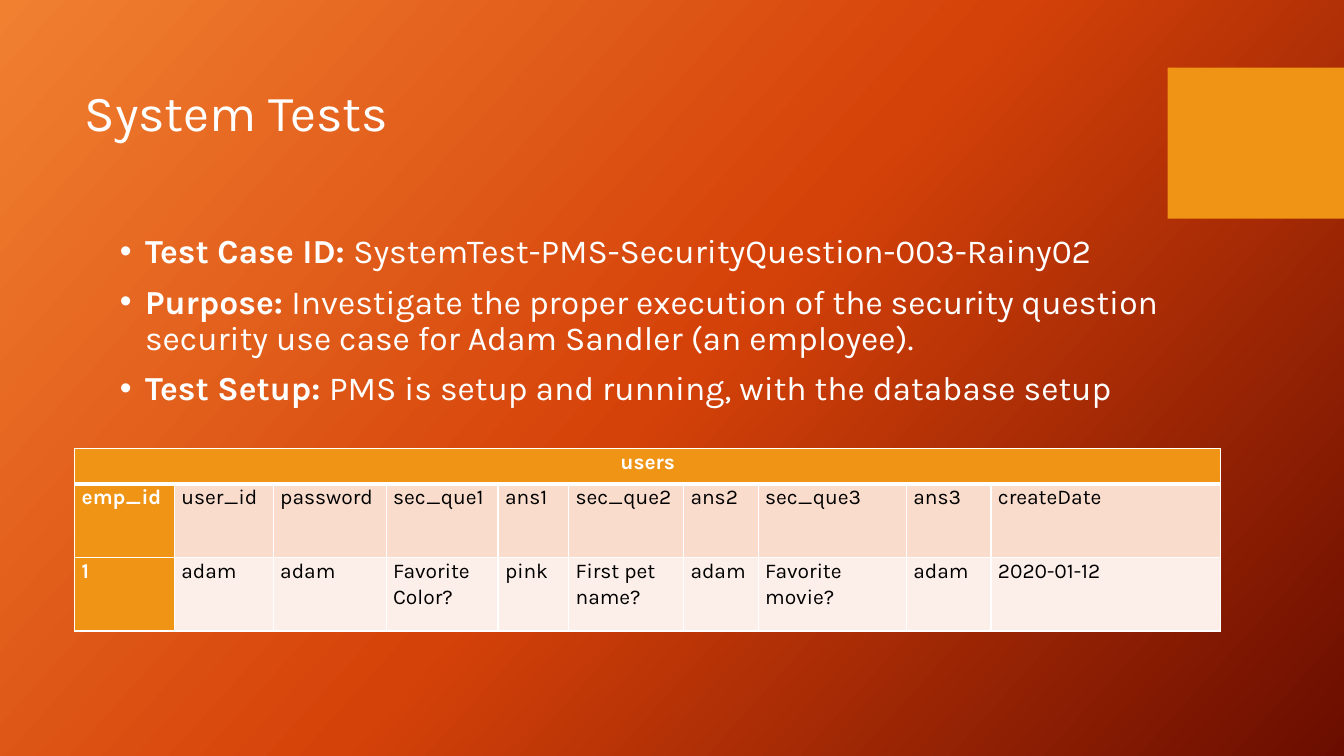
from dataclasses import dataclass

from lxml import etree
from pptx import Presentation
from pptx import util as u
from pptx.dml.color import RGBColor
from pptx.enum import shapes, text
from pptx.oxml.ns import qn


@dataclass(frozen=True)
class Theme:
    """Colours, type sizes and font of the slide."""
    font: str = "Karla"
    light: str = "FFFFFF"
    dark: str = "000000"
    accent: str = "F09415"
    field_row: str = "F9DCCC"
    value_row: str = "FCEEE8"
    gradient: tuple = ((0, "F18031"), (50, "D54209"), (100, "6A0D00"))
    gradient_angle: int = 42
    title_size: int = 36
    body_size: int = 24
    table_size: int = 15


THEME = Theme()

TEST_DETAILS = [
    ("Test Case ID: ", "SystemTest-PMS-SecurityQuestion-003-Rainy02"),
    ("Purpose: ", "Investigate the proper execution of the security question "
                  "security use case for Adam Sandler (an employee). "),
    ("Test Setup: ", "PMS is setup and running, with the database setup"),
]
USER_FIELDS = ["emp_id", "user_id", "password", "sec_que1", "ans1", "sec_que2",
               "ans2", "sec_que3", "ans3", "createDate"]
USER_VALUES = ["1", "adam", "adam", "Favorite Color?", "pink", "First pet name?",
               "adam", "Favorite movie?", "adam", "2020-01-12"]
FIELD_WIDTHS = [0.99, 0.98, 1.12, 1.11, 0.7, 1.14, 0.74, 1.47, 0.84, 2.28]
ROW_HEIGHTS = [0.35, 0.73, 0.73]


def inches(box):
    """Turn a box given in inches into lengths."""
    return [u.Inches(side) for side in box]


def apply_format(target, **values):
    """Set each named attribute on the target."""
    for name, value in values.items():
        setattr(target, name, value)


def add_run(paragraph, wording, size, color=THEME.light, bold=False):
    """Add one run of text in the theme font."""
    run = paragraph.add_run()
    run.text = wording
    apply_format(run.font, name=THEME.font, size=u.Pt(size), bold=bold)
    run.font.color.rgb = RGBColor.from_string(color)


def add_color(parent, color):
    """Append an RGB colour element."""
    etree.SubElement(parent, qn("a:srgbClr"), val=color)


def paint_background(slide):
    """Fill the background with the theme's diagonal gradient."""
    fill = slide.background.fill
    fill.gradient()
    fill.gradient_angle = 360 - THEME.gradient_angle
    stops = slide.element.find(".//" + qn("a:gsLst"))
    for stop in list(stops):
        stops.remove(stop)
    for percent, color in THEME.gradient:
        add_color(etree.SubElement(stops, qn("a:gs"), pos=str(percent * 1000)), color)


def add_accent_block(slide, box):
    """Draw the plain block at the right edge."""
    block = slide.shapes.add_shape(shapes.MSO_SHAPE.RECTANGLE, *inches(box))
    block.shadow.inherit = False
    block.fill.solid()
    block.fill.fore_color.rgb = RGBColor.from_string(THEME.accent)
    block.line.fill.background()


def add_text_frame(slide, box):
    """Add a wrapping, top-anchored text box and return its frame."""
    frame = slide.shapes.add_textbox(*inches(box)).text_frame
    apply_format(frame, word_wrap=True, vertical_anchor=text.MSO_ANCHOR.TOP)
    return frame


def add_title(slide, box, wording):
    """Write the slide title."""
    paragraph = add_text_frame(slide, box).paragraphs[0]
    paragraph.line_spacing = 0.9
    add_run(paragraph, wording, THEME.title_size)


def add_test_details(slide, box, details):
    """Write the bulleted list of labelled test details."""
    frame = add_text_frame(slide, box)
    indent = u.Inches(0.25)
    for index, (label, detail) in enumerate(details):
        paragraph = frame.add_paragraph() if index else frame.paragraphs[0]
        apply_format(paragraph, line_spacing=0.9, space_before=u.Pt(10))
        properties = paragraph._p.get_or_add_pPr()
        properties.set("marL", str(indent))
        properties.set("indent", str(-indent))
        etree.SubElement(properties, qn("a:buFont"), typeface="Arial")
        etree.SubElement(properties, qn("a:buChar"), char="•")
        add_run(paragraph, label, THEME.body_size, bold=True)
        add_run(paragraph, detail, THEME.body_size)


def style_cell(cell, fill, top=1, bottom=1):
    """Set margins, border widths in points, and fill of a cell."""
    side = u.Inches(0.07)
    apply_format(cell, margin_left=side, margin_right=side, margin_top=0,
                 margin_bottom=0, vertical_anchor=text.MSO_ANCHOR.TOP)
    properties = cell._tc.get_or_add_tcPr()
    for edge, width in {"L": 1, "R": 1, "T": top, "B": bottom}.items():
        line = etree.SubElement(properties, qn("a:ln" + edge), w=str(u.Pt(width)))
        add_color(etree.SubElement(line, qn("a:solidFill")), THEME.light)
    cell.fill.solid()
    cell.fill.fore_color.rgb = RGBColor.from_string(fill)


def write_cell(cell, wording, color, bold, align=text.PP_ALIGN.LEFT):
    """Write one paragraph in a table cell."""
    paragraph = cell.text_frame.paragraphs[0]
    apply_format(paragraph, line_spacing=1.07, space_after=u.Pt(8), alignment=align)
    add_run(paragraph, wording, THEME.table_size, color, bold)


def add_users_table(slide, box):
    """Build the users table: a merged heading, field names and values."""
    table = slide.shapes.add_table(
        len(ROW_HEIGHTS), len(FIELD_WIDTHS), *inches(box)).table
    apply_format(table, first_row=False, horz_banding=False)
    for column, width in zip(table.columns, FIELD_WIDTHS):
        column.width = u.Inches(width)
    for row, height in zip(table.rows, ROW_HEIGHTS):
        row.height = u.Inches(height)

    heading = table.cell(0, 0)
    heading.merge(table.cell(0, len(FIELD_WIDTHS) - 1))
    for cell in table.rows[0].cells:
        style_cell(cell, THEME.accent, bottom=3)
    write_cell(heading, "users", THEME.light, True, text.PP_ALIGN.CENTER)

    records = [(USER_FIELDS, THEME.field_row, 3), (USER_VALUES, THEME.value_row, 1)]
    for row, (entries, fill, top) in enumerate(records, start=1):
        for column, entry in enumerate(entries):
            cell = table.cell(row, column)
            is_key = column == 0
            style_cell(cell, THEME.accent if is_key else fill, top=top)
            write_cell(cell, entry, THEME.light if is_key else THEME.dark, is_key)


def build_system_tests(presentation):
    """Compose the system tests slide."""
    slide = presentation.slides.add_slide(presentation.slide_layouts[6])
    paint_background(slide)
    add_accent_block(slide, (11.58, 0.67, 1.75, 1.5))
    add_test_details(slide, (1.09, 2.28, 10.51, 2.37), TEST_DETAILS)
    add_title(slide, (0.74, 0.82, 10.51, 1.18), "System Tests")
    add_users_table(slide, (0.74, 4.45, sum(FIELD_WIDTHS), sum(ROW_HEIGHTS)))


deck = Presentation()
apply_format(deck, slide_width=u.Inches(13.33), slide_height=u.Inches(7.5))
build_system_tests(deck)
deck.save("out.pptx")
